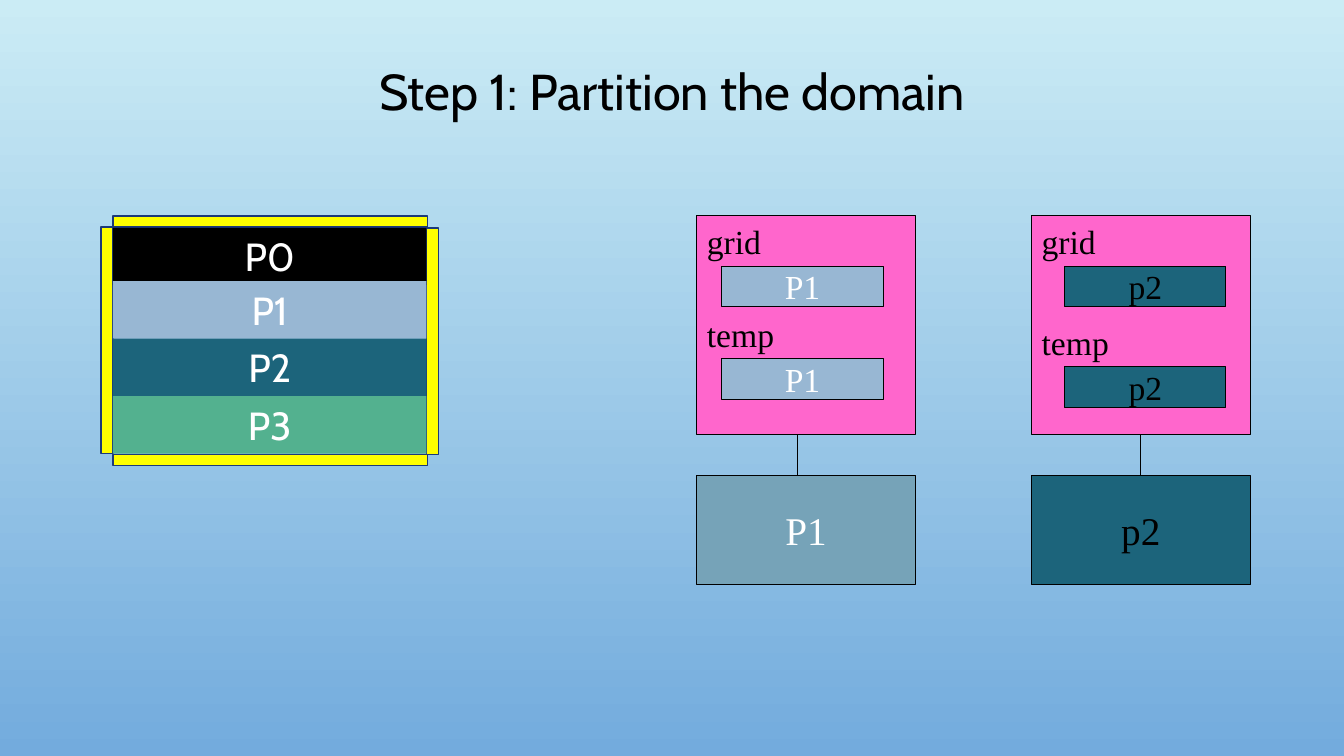
import pptx
import pptx.dml.color
import pptx.enum.shapes
import pptx.enum.text
import pptx.oxml
import pptx.util
from pptx.util import Inches

COLORS = {
    "sky": "CBECF5", "sea": "73ABDD", "black": "000000", "white": "FFFFFF",
    "halo": "FFFF00", "navy": "1D3A79", "memory": "FF66CC", "steel": "98B7D3",
    "teal": "1C647B", "green": "53B18F", "slate": "76A3B8",
}
SERIF = "Times New Roman"
ANCHOR = pptx.enum.text.MSO_ANCHOR


def rgb(name):
    return pptx.dml.color.RGBColor.from_string(COLORS[name])


def add_box(text, left, top, width, height, fill=None, line=None, weight=0.75,
            size=24, font=SERIF, color="black", anchor=ANCHOR.MIDDLE,
            wrap=False, grow=False, spacing=None):
    bounds = [Inches(length) for length in (left, top, width, height)]
    if fill:
        box = slide.shapes.add_shape(pptx.enum.shapes.MSO_SHAPE.RECTANGLE, *bounds)
        box.shadow.inherit = False
        box.fill.solid()
        box.fill.fore_color.rgb = rgb(fill)
        if line:
            box.line.color.rgb = rgb(line)
            box.line.width = pptx.util.Pt(weight)
        else:
            box.line.fill.background()
    else:
        box = slide.shapes.add_textbox(*bounds)
    if text:
        frame = box.text_frame
        frame.word_wrap = wrap
        frame.vertical_anchor = anchor
        if grow:
            frame.auto_size = pptx.enum.text.MSO_AUTO_SIZE.SHAPE_TO_FIT_TEXT
        paragraph = frame.paragraphs[0]
        paragraph.alignment = pptx.enum.text.PP_ALIGN.CENTER
        if spacing:
            paragraph.line_spacing = spacing
        run = paragraph.add_run()
        run.text = text
        run.font.size = pptx.util.Pt(size)
        run.font.name = font
        run.font.color.rgb = rgb(color)
    return box


deck = pptx.Presentation()
deck.slide_width = Inches(13.33)
deck.slide_height = Inches(7.5)
slide = deck.slides.add_slide(deck.slide_layouts[6])

backdrop = slide.background.fill
backdrop.gradient()
backdrop.gradient_angle = 270
for stop, name, position in zip(backdrop.gradient_stops, ("sky", "sea"), (0, 1)):
    stop.color.rgb = rgb(name)
    stop.position = position

add_box("Step 1: Partition the domain", 1, 0.32, 11.33, 1.23,
        size=36, font="Cabin", wrap=True, spacing=0.9)

halo_edges = [(1.12, 4.51, 3.12, 0.11), (1.12, 2.14, 3.12, 0.11),
              (1, 2.25, 0.12, 2.25), (4.23, 2.26, 0.12, 2.25)]
for edge in halo_edges:
    add_box("", *edge, fill="halo", line="navy", weight=1.25)

strips = [("P0", 2.26, "black"), ("P1", 2.79, "steel"),
          ("P2", 3.36, "teal"), ("P3", 3.93, "green")]
for label, top, fill in strips:
    add_box(label, 1.12, top, 3.11, 0.57, fill=fill, size=28, font="Cabin",
            color="white", anchor=ANCHOR.TOP, wrap=True, grow=True)

memory_top, memory_size = 2.14, 2.17
processor_top = 4.72
processes = [
    ("P1", 6.91, 7.16, 0.92, "slate", "steel", "white", 7.91),
    ("p2", 10.23, 10.56, 1, "teal", "teal", "black", None),
]
for label, left, array_left, array_step, core, array, ink, link_x in processes:
    processor = add_box(label, left, processor_top, memory_size, 1.08,
                        fill=core, line="black", size=28, color=ink)
    memory = add_box("", left, memory_top, memory_size, memory_size,
                     fill="memory", line="black")
    for row, (caption, width) in enumerate((("grid", 0.74), ("temp", 0.87))):
        caption_top = memory_top + row * array_step
        add_box(label, array_left, caption_top + 0.5, 1.6, 0.4,
                fill=array, line="black", color=ink)
        add_box(caption, left, caption_top, width, 0.5, grow=True)

    x = Inches(link_x or left + memory_size / 2)
    link = slide.shapes.add_connector(
        pptx.enum.shapes.MSO_CONNECTOR.STRAIGHT,
        x, Inches(memory_top + memory_size), x, Inches(processor_top))
    if link_x is None:
        link.begin_connect(memory, 2)
        link.end_connect(processor, 0)
    link.line.color.rgb = rgb("black")
    link.line.width = pptx.util.Pt(0.75)
    link._element.spPr.append(pptx.oxml.parse_xml(
        '<a:effectLst xmlns:a="http://schemas.openxmlformats.org/drawingml/2006/main"/>'))

deck.save("out.pptx")
